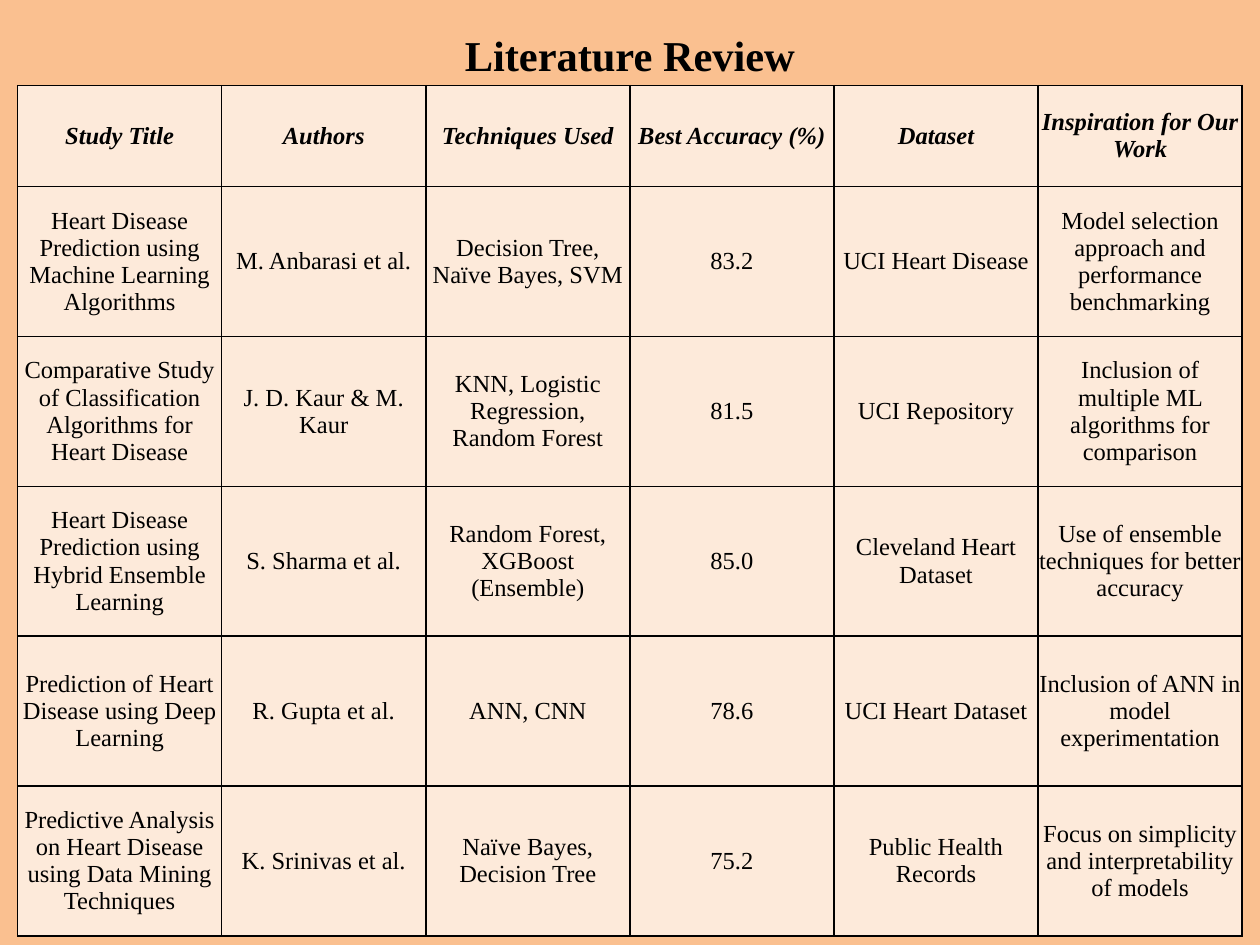
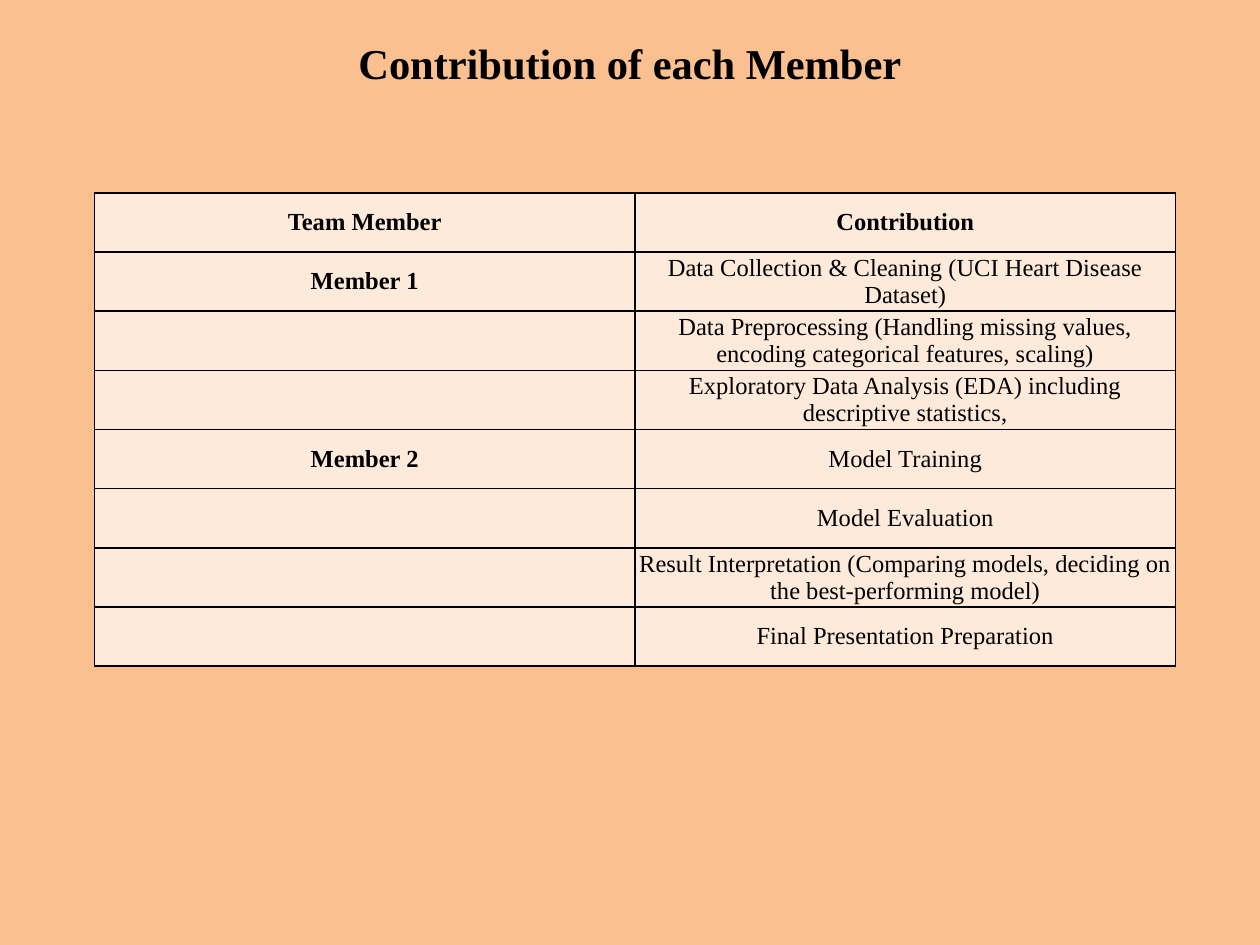
from lxml.etree import SubElement
from pptx import Presentation
from pptx.dml.color import RGBColor
from pptx.enum.text import MSO_ANCHOR as Anchor, MSO_AUTO_SIZE as AutoSize, PP_ALIGN as Align
from pptx.oxml.ns import qn
from pptx.util import Inches, Pt

# Shared look
PEACH = RGBColor(0xFA, 0xC0, 0x90)
CREAM = RGBColor(0xFD, 0xEA, 0xDA)
BLACK = RGBColor(0, 0, 0)
FONT = "Times New Roman"
TITLE_SIZE = Pt(24.3)
CELL_SIZE = Pt(14)
BORDER_WIDTH = Pt(1)
TITLE_ONLY = 5

STUDIES = [
    ["Study Title", "Authors", "Techniques Used", "Best Accuracy (%)", "Dataset",
     "Inspiration for Our Work"],
    ["Heart Disease Prediction using Machine Learning Algorithms", "M. Anbarasi et al.",
     "Decision Tree, Naïve Bayes, SVM", "83.2", "UCI Heart Disease",
     "Model selection approach and performance benchmarking"],
    ["Comparative Study of Classification Algorithms for Heart Disease",
     "J. D. Kaur & M. Kaur", "KNN, Logistic Regression, Random Forest", "81.5",
     "UCI Repository", "Inclusion of multiple ML algorithms for comparison"],
    ["Heart Disease Prediction using Hybrid Ensemble Learning", "S. Sharma et al.",
     "Random Forest, XGBoost (Ensemble)", "85.0", "Cleveland Heart Dataset",
     "Use of ensemble techniques for better accuracy"],
    ["Prediction of Heart Disease using Deep Learning", "R. Gupta et al.", "ANN, CNN",
     "78.6", "UCI Heart Dataset", "Inclusion of ANN in model experimentation"],
    ["Predictive Analysis on Heart Disease using Data Mining Techniques",
     "K. Srinivas et al.", "Naïve Bayes, Decision Tree", "75.2", "Public Health Records",
     "Focus on simplicity and interpretability of models"],
]

CONTRIBUTIONS = [
    ["Team Member", "Contribution"],
    ["Member 1", "Data Collection & Cleaning (UCI Heart Disease Dataset)"],
    ["", "Data Preprocessing (Handling missing values, encoding categorical features, scaling)"],
    ["", "Exploratory Data Analysis (EDA) including descriptive statistics,"],
    ["Member 2", "Model Training"],
    ["", "Model Evaluation"],
    ["", "Result Interpretation (Comparing models, deciding on the best-performing model)"],
    ["", "Final Presentation Preparation"],
]


def style_paragraph(para, size, bold, italic=False):
    para.alignment = Align.CENTER
    font = para.font
    font.name, font.size, font.bold, font.italic = FONT, size, bold, italic
    font.color.rgb = BLACK


def add_page(deck, title, top, height):
    """Add a peach page with its title at the top of the given band."""
    page = deck.slides.add_slide(deck.slide_layouts[TITLE_ONLY])
    page.background.fill.solid()
    page.background.fill.fore_color.rgb = PEACH
    box = page.shapes.title
    box.left, box.top, box.width, box.height = Inches(0.5), top, Inches(9), height
    frame = box.text_frame
    frame.text = title
    frame.auto_size = AutoSize.NONE
    frame.vertical_anchor = Anchor.TOP
    frame.margin_top = frame.margin_bottom = 0
    style_paragraph(frame.paragraphs[0], TITLE_SIZE, bold=True)
    return page


def add_borders(cell):
    properties = cell._tc.get_or_add_tcPr()
    for side in ("lnL", "lnR", "lnT", "lnB"):
        line = SubElement(properties, qn(f"a:{side}"), w=str(BORDER_WIDTH))
        fill = SubElement(line, qn("a:solidFill"))
        SubElement(fill, qn("a:srgbClr"), val=str(BLACK))


def style_cell(cell, text, bold, italic):
    cell.text = text
    cell.vertical_anchor = Anchor.MIDDLE
    cell.margin_left = cell.margin_right = cell.margin_top = cell.margin_bottom = 0
    style_paragraph(cell.text_frame.paragraphs[0], CELL_SIZE, bold, italic)
    add_borders(cell)
    cell.fill.solid()
    cell.fill.fore_color.rgb = CREAM


def add_grid(page, rows, left, top, column_width, row_heights,
             italic_header=False, bold_first_column=False):
    """Draw rows as a bordered table with equal columns and a bold header."""
    columns = len(rows[0])
    table = page.shapes.add_table(len(rows), columns, left, top,
                                  column_width * columns, sum(row_heights)).table
    table.first_row = table.horz_banding = False
    for column in table.columns:
        column.width = column_width
    for r, (texts, height) in enumerate(zip(rows, row_heights)):
        table.rows[r].height = height
        for c, text in enumerate(texts):
            header = r == 0
            bold = header or (bold_first_column and c == 0)
            style_cell(table.cell(r, c), text, bold, header and italic_header)


def add_literature_review(deck):
    page = add_page(deck, "Literature Review", Inches(0.23), Inches(0.86))
    heights = [Inches(0.8)] + [Inches(1.19)] * (len(STUDIES) - 1)
    add_grid(page, STUDIES, Inches(0.14), Inches(0.68), Inches(1.62), heights,
             italic_header=True)


def add_contributions(deck):
    page = add_page(deck, "Contribution of each Member", Inches(0.29), Inches(0.78))
    heights = [Inches(0.47)] * len(CONTRIBUTIONS)
    add_grid(page, CONTRIBUTIONS, Inches(0.75), Inches(1.53), Inches(4.29), heights,
             bold_first_column=True)


def main():
    deck = Presentation()
    deck.slide_width, deck.slide_height = Inches(10), Inches(7.5)
    add_literature_review(deck)
    add_contributions(deck)
    deck.save("out.pptx")


if __name__ == "__main__":
    main()
